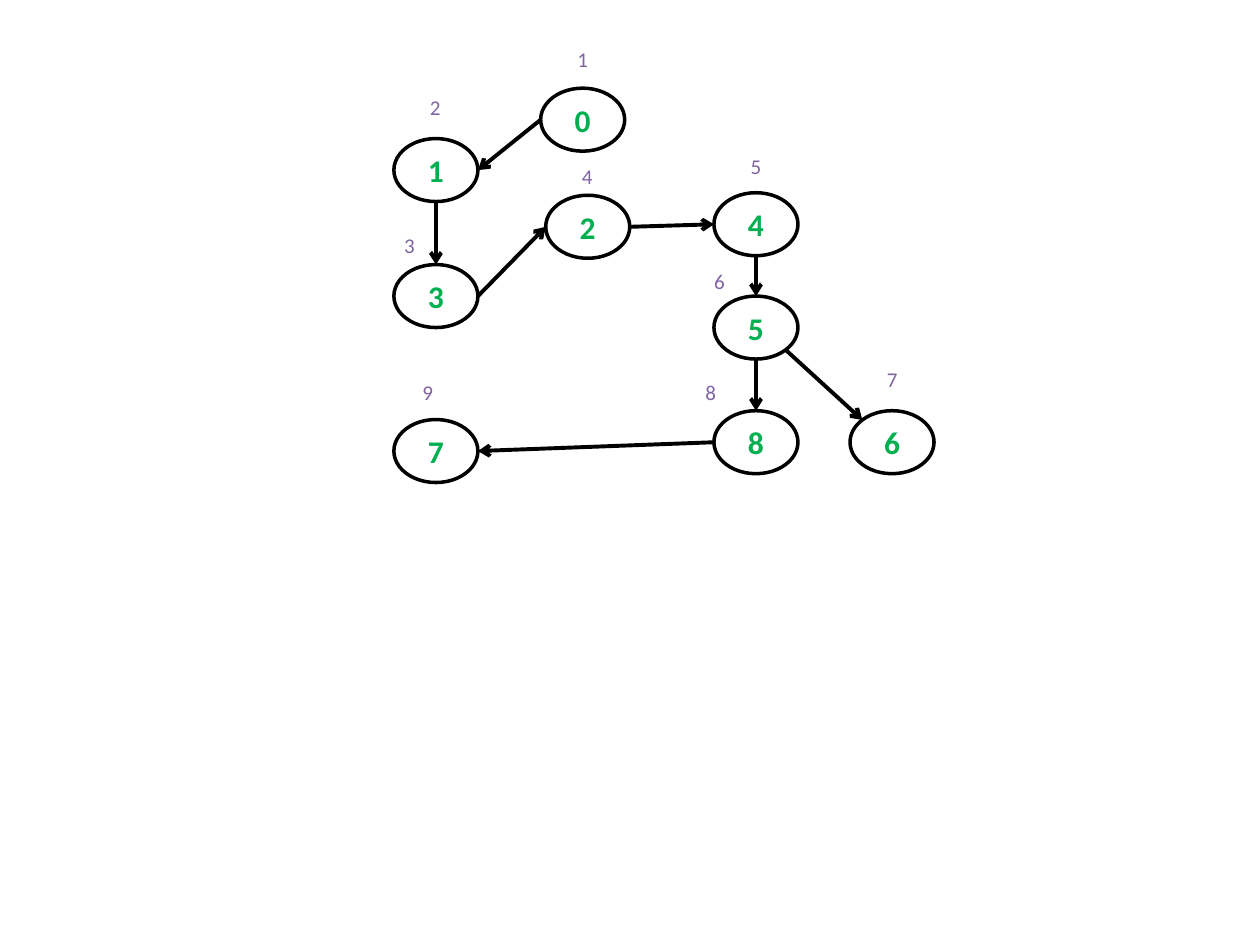
import math
from lxml import etree
from pptx import Presentation
from pptx import util as u
from pptx.dml.color import RGBColor
from pptx.enum import shapes, text
from pptx.oxml.ns import qn

BLACK = RGBColor(0x00, 0x00, 0x00)
WHITE = RGBColor(0xFF, 0xFF, 0xFF)
GREEN = RGBColor(0x00, 0xB0, 0x50)
PURPLE = RGBColor(0x80, 0x64, 0xA2)

FONT = "Calibri"
COLS, ROWS = 100, 75
CELL = u.Inches(10) // COLS
NODE_W, NODE_H = 6.67, 5
LABEL_W, LABEL_H = 2.9, 3

# value: (node centre, visit order, label centre), in columns and rows
NODES = {
    "0": ((46.25, 9.5), "1", (46.25, 4.7)),
    "1": ((34.6, 13.5), "2", (34.55, 8.5)),
    "3": ((34.6, 23.5), "3", (32.5, 19.5)),
    "2": ((46.65, 18), "4", (46.6, 14)),
    "4": ((60, 17.8), "5", (60, 13.2)),
    "5": ((60, 26), "6", (57.1, 22.3)),
    "6": ((70.8, 35.1), "7", (70.8, 30.1)),
    "8": ((60, 35.1), "8", (56.4, 31.1)),
    "7": ((34.6, 35.8), "9", (33.95, 31.1)),
}
SITES = ["top", "top left", "left", "bottom left",
         "bottom", "bottom right", "right", "top right"]
EDGES = [
    ("0", "left", "1", "right"),
    ("1", "bottom", "3", "top"),
    ("3", "right", "2", "left"),
    ("2", "right", "4", "left"),
    ("4", "bottom", "5", "top"),
    ("5", "bottom right", "6", "top left"),
    ("5", "bottom", "8", "top"),
    ("8", "left", "7", "right"),
]


def grid(n):
    return u.Emu(round(n * CELL))


def box(centre, w, h):
    x, y = centre
    return grid(x - w / 2), grid(y - h / 2), grid(w), grid(h)


def write(sp, value, size, color, bold=False):
    p = sp.text_frame.paragraphs[0]
    p.text = value
    p.alignment = text.PP_ALIGN.CENTER
    p.font.name = FONT
    p.font.size = u.Pt(size)
    p.font.bold = bold
    p.font.color.rgb = color


def add_node(s, value, centre):
    sp = s.shapes.add_shape(shapes.MSO_SHAPE.FLOWCHART_CONNECTOR,
                            *box(centre, NODE_W, NODE_H))
    sp.name = f"Node {value}"
    sp.shadow.inherit = False
    sp.fill.solid()
    sp.fill.fore_color.rgb = WHITE
    sp.line.color.rgb = BLACK
    sp.line.width = u.Pt(2)
    sp.text_frame.vertical_anchor = text.MSO_ANCHOR.MIDDLE
    write(sp, value, 18, GREEN, bold=True)
    return sp


def add_order_label(s, order, centre):
    sp = s.shapes.add_textbox(*box(centre, LABEL_W, LABEL_H))
    sp.name = f"Visit {order}"
    sp.text_frame.word_wrap = False
    write(sp, order, 12, PURPLE)


def site_point(sp, site):
    angle = SITES.index(site) * math.pi / 4
    x = sp.left + sp.width / 2 * (1 - math.sin(angle))
    y = sp.top + sp.height / 2 * (1 - math.cos(angle))
    return u.Emu(round(x)), u.Emu(round(y))


def add_arrow(s, start, start_site, end, end_site):
    line = s.shapes.add_connector(shapes.MSO_CONNECTOR.STRAIGHT,
                                  *site_point(start, start_site),
                                  *site_point(end, end_site))
    line.line.color.rgb = BLACK
    line.line.width = u.Pt(2.25)
    etree.SubElement(line.line._get_or_add_ln(), qn("a:tailEnd"), type="arrow")
    etree.SubElement(line.element.spPr, qn("a:effectLst"))
    links = line.element.find(".//" + qn("p:cNvCxnSpPr"))
    for tag, sp, site in (("a:stCxn", start, start_site),
                          ("a:endCxn", end, end_site)):
        etree.SubElement(links, qn(tag), id=str(sp.shape_id),
                         idx=str(SITES.index(site)))


def main():
    prs = Presentation()
    prs.slide_width, prs.slide_height = grid(COLS), grid(ROWS)
    s = prs.slides.add_slide(prs.slide_layouts[6])
    nodes = {value: add_node(s, value, centre)
             for value, (centre, _, _) in NODES.items()}
    for start, start_site, end, end_site in EDGES:
        add_arrow(s, nodes[start], start_site, nodes[end], end_site)
    for _, order, centre in NODES.values():
        add_order_label(s, order, centre)
    prs.save("out.pptx")


main()
